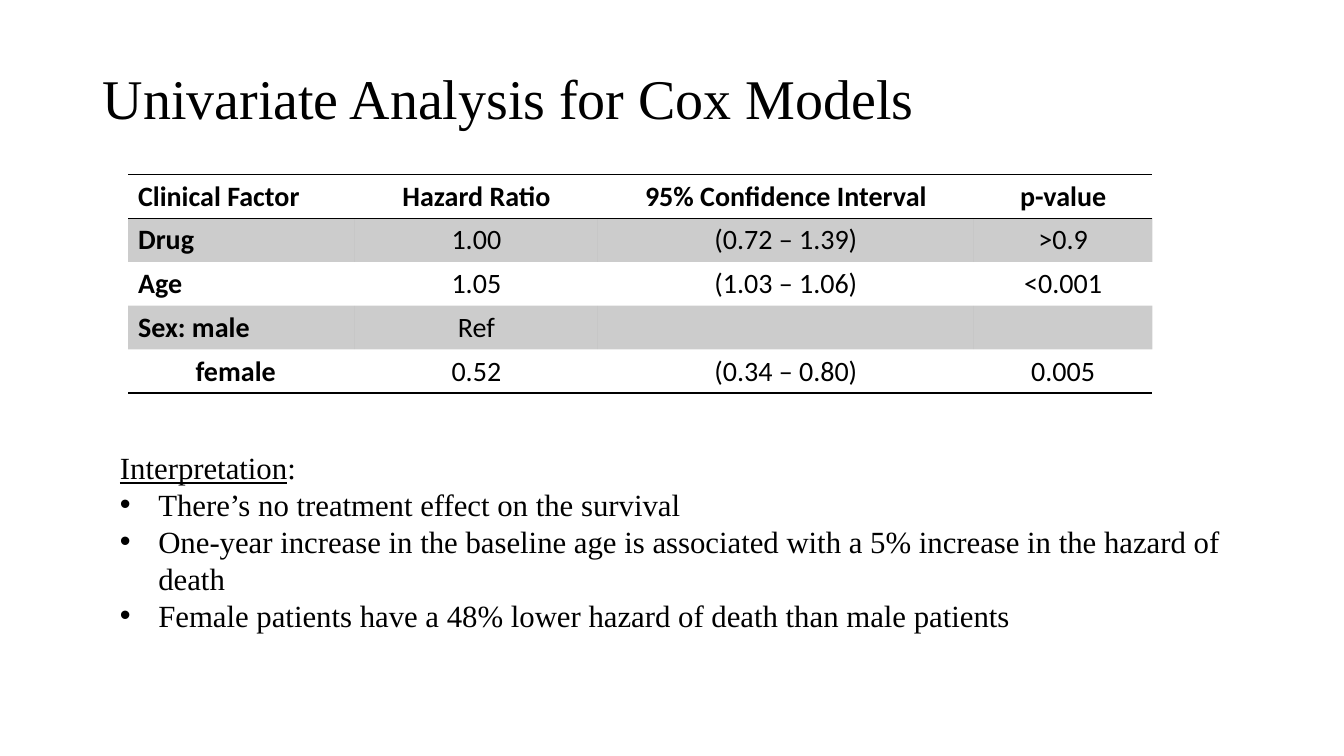
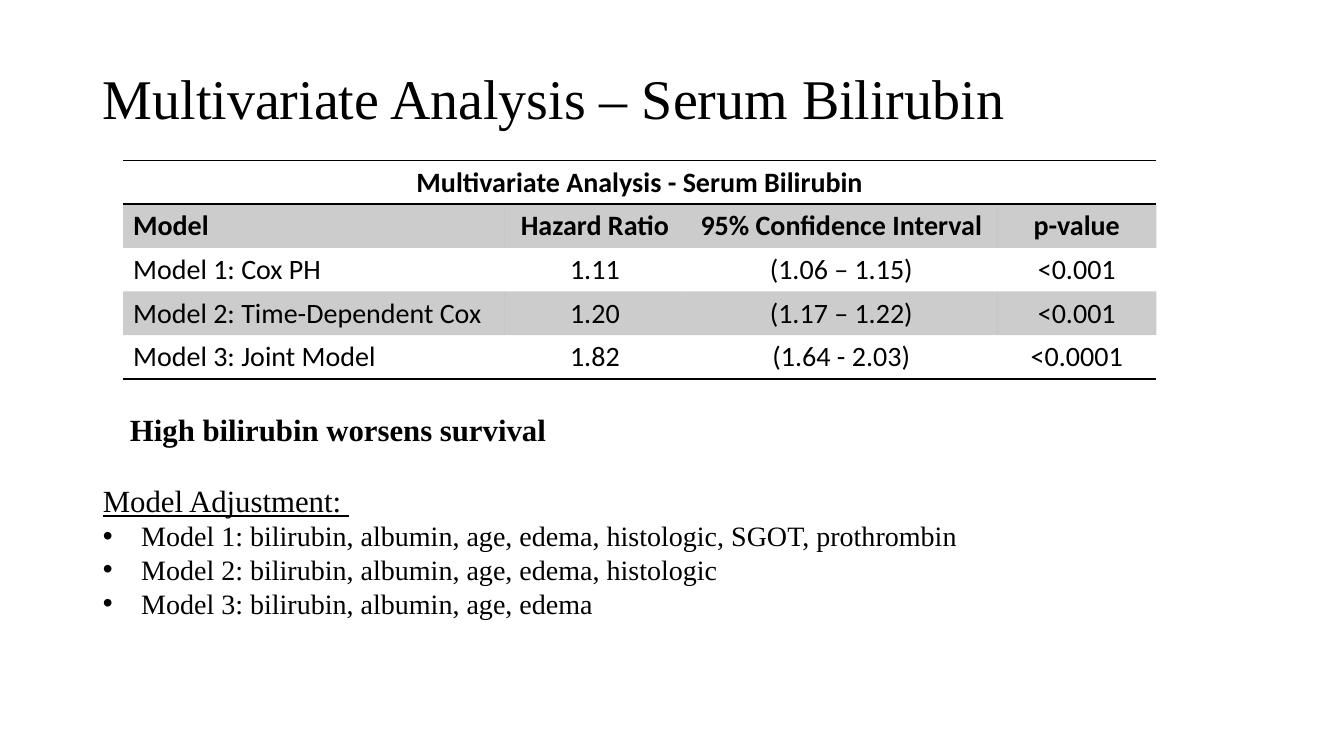
"""Build two slides that report survival model results."""
from dataclasses import dataclass

from lxml import etree
from pptx import Presentation
from pptx.dml.color import RGBColor
from pptx.enum.text import MSO_ANCHOR, MSO_AUTO_SIZE, PP_ALIGN
from pptx.oxml.ns import qn
from pptx.util import Inches, Pt

LEFT, CENTER = PP_ALIGN.LEFT, PP_ALIGN.CENTER
MIDDLE, TOP = MSO_ANCHOR.MIDDLE, MSO_ANCHOR.TOP
GROW = MSO_AUTO_SIZE.SHAPE_TO_FIT_TEXT
TITLE_AND_CONTENT = 1
PLAIN_TABLE_STYLE = "{2D5ABB26-0587-4C30-8999-92F81FD0307C}"


@dataclass(frozen=True)
class Theme:
    """Colours, fonts, sizes and shared measures."""

    ink: str = "000000"
    band_alpha: int = 20
    text_font: str = "Times New Roman"
    table_font: str = "Calibri"
    title_size: int = 40
    heading_size: int = 22
    table_size: int = 20
    rule_width: int = 1
    title_box: tuple = (0.92, 0.28, 11.5, 1.45)
    row_height: float = 0.43
    bullet_indent: float = 0.38
    level_indent: float = 0.57


THEME = Theme()


def set_attributes(target, values):
    """Set each named attribute of the target."""
    for name, value in values.items():
        setattr(target, name, value)


def place(shape, box):
    """Move and size a shape to a box in inches."""
    names = ("left", "top", "width", "height")
    set_attributes(shape, dict(zip(names, map(Inches, box))))


def add_run(paragraph, text, size, font_name=THEME.text_font, **values):
    """Add a run of formatted text to a paragraph."""
    run = paragraph.add_run()
    run.text = text
    set_attributes(run.font, {"name": font_name, "size": Pt(size), **values})
    run.font.color.rgb = RGBColor.from_string(THEME.ink)


def set_bullet(paragraph, character=None):
    """Give a paragraph a hanging bullet, or none."""
    properties = paragraph._p.get_or_add_pPr()
    indent = Inches(THEME.bullet_indent) if character else 0
    properties.set("marL", str(indent))
    properties.set("indent", str(-indent))
    if character:
        etree.SubElement(properties, qn("a:buFont"), typeface="Arial")
        etree.SubElement(properties, qn("a:buChar"), char=character)
    else:
        etree.SubElement(properties, qn("a:buNone"))


def add_slide(presentation, title):
    """Add a slide with a formatted title."""
    layout = presentation.slide_layouts[TITLE_AND_CONTENT]
    slide = presentation.slides.add_slide(layout)
    shape = slide.shapes.title
    place(shape, THEME.title_box)
    shape.text_frame.vertical_anchor = MIDDLE
    paragraph = shape.text_frame.paragraphs[0]
    set_attributes(paragraph, {"alignment": LEFT, "line_spacing": 0.9})
    add_run(paragraph, title, THEME.title_size)
    return slide


def fill_body(slide, box, heading, items, item_size):
    """Fill the body placeholder with an underlined heading and a list."""
    body = slide.placeholders[1]
    place(body, box)
    frame = body.text_frame
    set_attributes(frame, {"word_wrap": True, "auto_size": GROW, "vertical_anchor": TOP})
    paragraph = frame.paragraphs[0]
    set_bullet(paragraph)
    paragraph.space_before = Pt(0)
    for text, underline in heading:
        add_run(paragraph, text, THEME.heading_size, underline=underline)
    for item in items:
        paragraph = frame.add_paragraph()
        set_bullet(paragraph, "•")
        paragraph.space_before = Pt(0)
        add_run(paragraph, item, item_size)


def add_statement(slide, box, text):
    """Add a bold one-line statement."""
    shape = slide.shapes.add_textbox(*map(Inches, box))
    set_attributes(shape.text_frame, {"word_wrap": True, "auto_size": GROW})
    add_run(shape.text_frame.paragraphs[0], text, THEME.heading_size, bold=True)


def rule_cell(cell, sides):
    """Draw lines on the given sides of a cell."""
    properties = cell._tc.get_or_add_tcPr()
    for side in sides:
        line = etree.SubElement(properties, qn(f"a:ln{side}"), w=str(Pt(THEME.rule_width)))
        fill = etree.SubElement(line, qn("a:solidFill"))
        etree.SubElement(fill, qn("a:srgbClr"), val=THEME.ink)


def shade_cell(cell, shaded):
    """Give a cell a translucent band or no fill."""
    if not shaded:
        cell.fill.background()
        return
    cell.fill.solid()
    cell.fill.fore_color.rgb = RGBColor.from_string(THEME.ink)
    color = cell._tc.tcPr.find(f"{qn('a:solidFill')}/{qn('a:srgbClr')}")
    etree.SubElement(color, qn("a:alpha"), val=str(THEME.band_alpha * 1000))


def add_result_table(slide, left, top, widths, rows, bold_rows, bold_factors=False, indented=()):
    """Add a banded table; a row of one text spans all columns."""
    height = THEME.row_height * len(rows)
    box = map(Inches, (left, top, sum(widths), height))
    table = slide.shapes.add_table(len(rows), len(widths), *box).table
    set_attributes(table, {"first_row": False, "horz_banding": False})
    table._tbl.tblPr.find(qn("a:tableStyleId")).text = PLAIN_TABLE_STYLE
    for column, width in zip(table.columns, widths):
        column.width = Inches(width)
    for row_index, texts in enumerate(rows):
        sides = {0: "TB", len(rows) - 1: "B"}.get(row_index, "")
        for cell in table.rows[row_index].cells:
            rule_cell(cell, sides)
            shade_cell(cell, row_index % 2 == 1)
        spans = len(texts) == 1
        if spans:
            table.cell(row_index, 0).merge(table.cell(row_index, len(widths) - 1))
        for column_index, text in enumerate(texts):
            if not text:
                continue
            paragraph = table.cell(row_index, column_index).text_frame.paragraphs[0]
            is_factor = column_index == 0 and not spans
            paragraph.alignment = LEFT if is_factor else CENTER
            if is_factor and text in indented:
                paragraph._p.get_or_add_pPr().set("marL", str(Inches(THEME.level_indent)))
            bold = row_index < bold_rows or (bold_factors and is_factor)
            add_run(paragraph, text, THEME.table_size, THEME.table_font, bold=bold)


def build_univariate(presentation):
    """Build the univariate results slide."""
    slide = add_slide(presentation, "Univariate Analysis for Cox Models")
    rows = [
        ("Clinical Factor", "Hazard Ratio", "95% Confidence Interval", "p-value"),
        ("Drug", "1.00", "(0.72 – 1.39)", ">0.9"),
        ("Age", "1.05", "(1.03 – 1.06)", "<0.001"),
        ("Sex: male", "Ref", "", ""),
        ("female", "0.52", "(0.34 – 0.80)", "0.005"),
    ]
    add_result_table(slide, 1.27, 1.73, (2.25, 2.41, 3.73, 1.77), rows,
                     bold_rows=1, bold_factors=True, indented=("female",))
    fill_body(slide, (1.09, 4.4, 11.5, 1.58), [("Interpretation", True), (":", False)], [
        "There’s no treatment effect on the survival",
        "One-year increase in the baseline age is associated with a 5% increase in the hazard of death",
        "Female patients have a 48% lower hazard of death than male patients",
    ], 22)


def build_multivariate(presentation):
    """Build the multivariate results slide."""
    slide = add_slide(presentation, "Multivariate Analysis – Serum Bilirubin")
    rows = [
        ("Multivariate Analysis - Serum Bilirubin",),
        ("Model", "Hazard Ratio", "95% Confidence Interval", "p-value"),
        ("Model 1: Cox PH", "1.11", "(1.06 – 1.15)", "<0.001"),
        ("Model 2: Time-Dependent Cox", "1.20", "(1.17 – 1.22)", "<0.001"),
        ("Model 3: Joint Model", "1.82", "(1.64 - 2.03)", "<0.0001"),
    ]
    add_result_table(slide, 1.22, 1.59, (3.78, 1.8, 3.09, 1.58), rows, bold_rows=2)
    add_statement(slide, (1.19, 4.03, 7.89, 0.47), "High bilirubin worsens survival")
    fill_body(slide, (0.92, 4.73, 11.5, 1.48), [("Model Adjustment: ", True)], [
        "Model 1: bilirubin, albumin, age, edema, histologic, SGOT, prothrombin",
        "Model 2: bilirubin, albumin, age, edema, histologic",
        "Model 3: bilirubin, albumin, age, edema",
    ], 20)


def main():
    """Create and save the presentation."""
    presentation = Presentation()
    set_attributes(presentation, {"slide_width": Inches(13.33), "slide_height": Inches(7.5)})
    build_univariate(presentation)
    build_multivariate(presentation)
    presentation.save("out.pptx")


if __name__ == "__main__":
    main()
